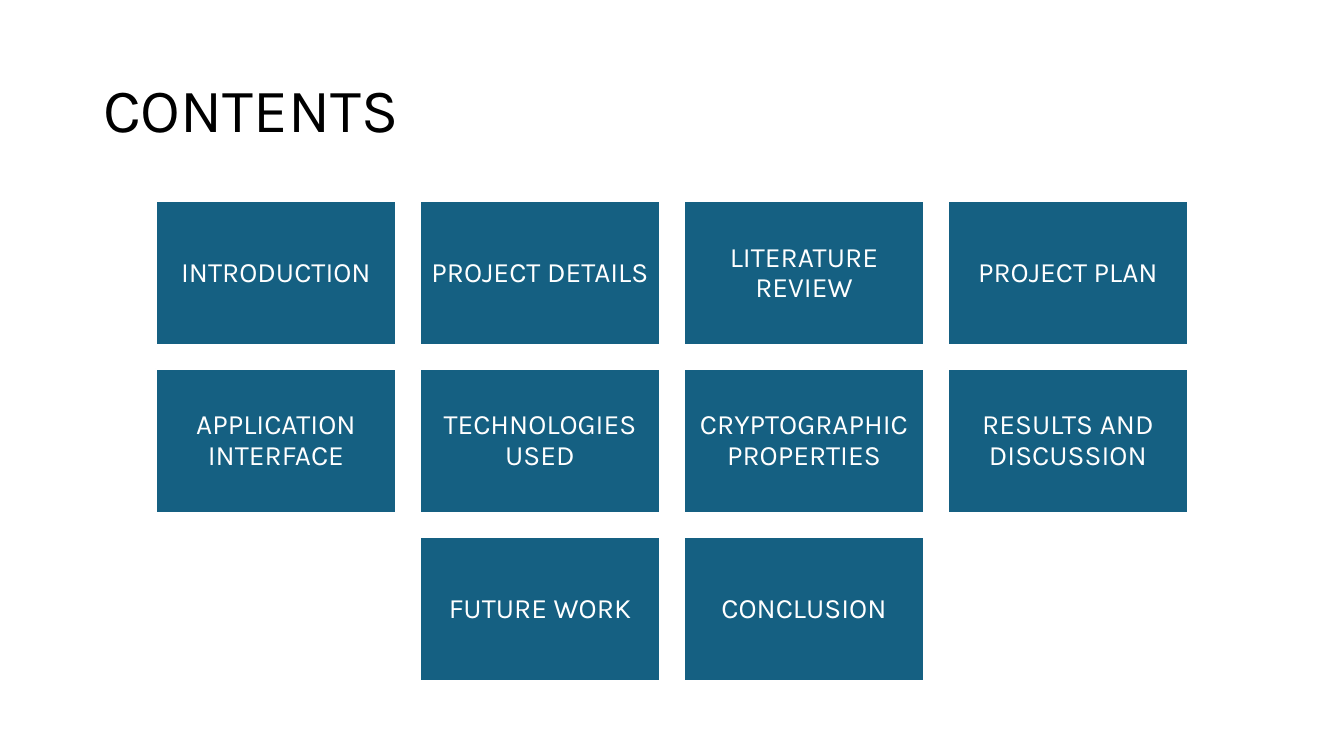
from pptx import Presentation, util as u
from pptx.dml.color import RGBColor
from pptx.enum import shapes, text

TITLE = "CONTENTS"
ROWS = [
    ["INTRODUCTION", "PROJECT DETAILS", "LITERATURE REVIEW", "PROJECT PLAN"],
    ["APPLICATION INTERFACE", "TECHNOLOGIES USED",
     "CRYPTOGRAPHIC PROPERTIES", "RESULTS AND DISCUSSION"],
    ["FUTURE WORK", "CONCLUSION"],
]

BLUE = RGBColor(0x15, 0x60, 0x82)
WHITE = RGBColor(0xFF, 0xFF, 0xFF)
BLACK = RGBColor(0x00, 0x00, 0x00)
FONT = "Karla"

WIDE, HIGH = 1344, 756
CARD_W, CARD_H, GAP, TOP = 240, 144, 24, 201
INSET = 8


def px(num):
    return u.Emu(round(num * 914400 / 100.8))


def write(frame, words, size, color, align):
    frame.text = words
    frame.word_wrap = True
    frame.vertical_anchor = text.MSO_ANCHOR.MIDDLE
    para = frame.paragraphs[0]
    para.alignment = align
    para.line_spacing = 0.9
    font = para.runs[0].font
    font.name, font.size = FONT, u.Pt(size)
    font.color.rgb = color


def add_card(slide, words, left, top):
    card = slide.shapes.add_shape(shapes.MSO_SHAPE.RECTANGLE,
                                  px(left), px(top), px(CARD_W), px(CARD_H))
    card.shadow.inherit = False
    card.fill.solid()
    card.fill.fore_color.rgb = BLUE
    card.line.color.rgb = WHITE
    card.line.width = u.Pt(1.5)
    frame = card.text_frame
    frame.margin_left = frame.margin_right = px(INSET)
    frame.margin_top = frame.margin_bottom = px(INSET)
    write(frame, words, 20, WHITE, text.PP_ALIGN.CENTER)


def main():
    deck = Presentation()
    deck.slide_width, deck.slide_height = px(WIDE), px(HIGH)
    slide = deck.slides.add_slide(deck.slide_layouts[5])

    title = slide.shapes.title
    title.left, title.top = px(93), px(40)
    title.width, title.height = px(1159), px(146)
    write(title.text_frame, TITLE, 44, BLACK, text.PP_ALIGN.LEFT)

    for row, names in enumerate(ROWS):
        span = len(names) * (CARD_W + GAP) - GAP
        left = (WIDE - span) // 2
        top = TOP + row * (CARD_H + GAP)
        for col, name in enumerate(names):
            add_card(slide, name, left + col * (CARD_W + GAP), top)

    deck.save("out.pptx")


if __name__ == "__main__":
    main()
